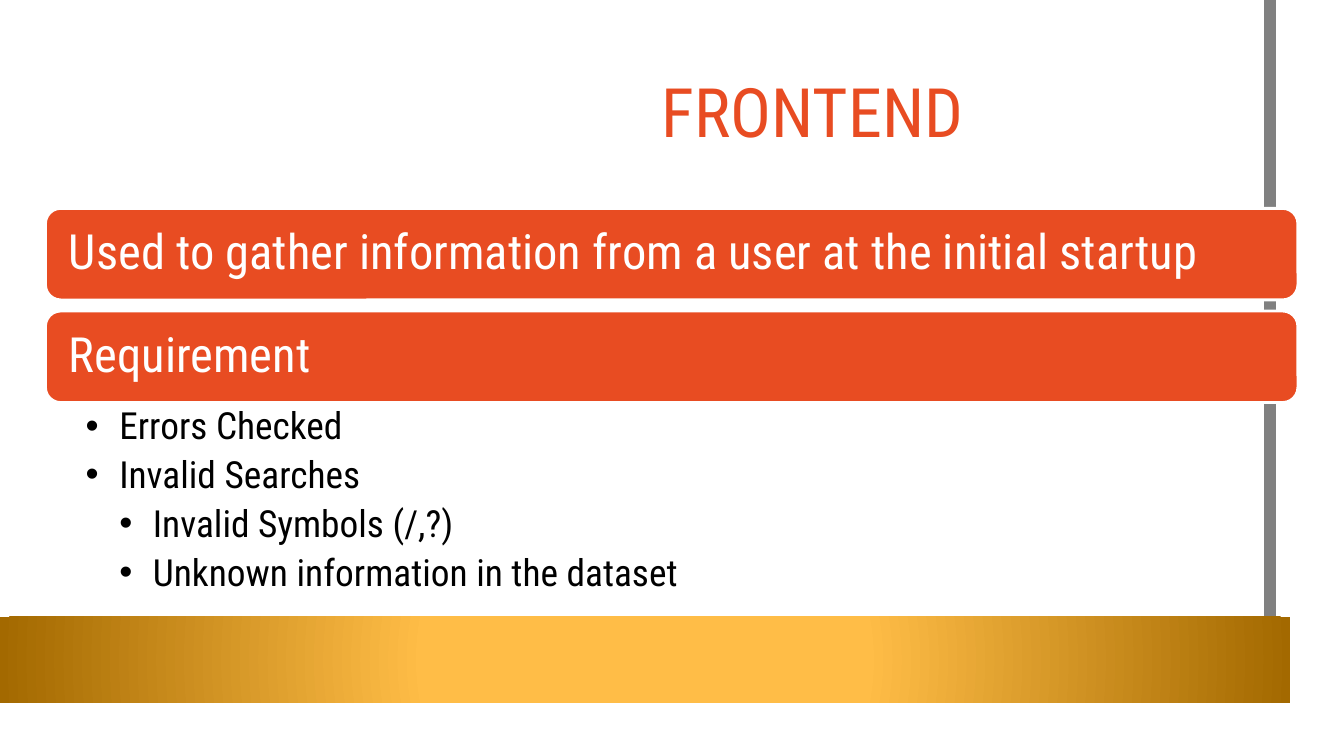
from lxml.etree import SubElement
from pptx import Presentation
from pptx.dml.color import RGBColor
from pptx.enum.shapes import MSO_SHAPE
from pptx.enum.text import MSO_ANCHOR, MSO_AUTO_SIZE, PP_ALIGN
from pptx.oxml import parse_xml
from pptx.oxml.ns import nsdecls, qn
from pptx.util import Cm, Pt

ORANGE = RGBColor(0xE8, 0x4C, 0x22)
WHITE = RGBColor(0xFF, 0xFF, 0xFF)
BLACK = RGBColor(0, 0, 0)
GRAY = RGBColor(0x80, 0x80, 0x80)
GOLD = RGBColor(0xFF, 0xBD, 0x47)
BRONZE = RGBColor(0xA3, 0x69, 0x00)

LEFT, WIDTH = 0.86, 23.67
BAR_TOP, BAR_HEIGHT, BAR_PITCH = 3.94, 1.73, 1.94


def write(p, text, size=20, color=BLACK, font="Roboto Condensed", after=0):
    """Put one formatted run in a paragraph."""
    p.alignment = PP_ALIGN.LEFT
    p.line_spacing = 0.9
    p.space_before, p.space_after = Pt(0), Pt(after)
    r = p.add_run()
    r.text = text
    r.font.size, r.font.name = Pt(size), font
    r.font.color.rgb = color


class Deck:
    def __init__(self, prs):
        self.s = prs.slides.add_slide(prs.slide_layouts[1])

    def frame(self, sp, anchor, insets):
        tf = sp.text_frame
        tf.word_wrap = True
        tf.auto_size = MSO_AUTO_SIZE.NONE
        tf.vertical_anchor = anchor
        (tf.margin_left, tf.margin_top,
         tf.margin_right, tf.margin_bottom) = map(Cm, insets)
        return tf

    def placeholder(self, idx, box, insets):
        """Move a placeholder to its box, in front of the backdrop."""
        sp = self.s.placeholders[idx]
        sp.left, sp.top, sp.width, sp.height = map(Cm, box)
        self.s.shapes._spTree.append(sp._element)
        return self.frame(sp, MSO_ANCHOR.TOP, insets)

    def shape(self, kind, box, fill, line=None):
        sp = self.s.shapes.add_shape(kind, *map(Cm, box))
        sp.shadow.inherit = False
        sp.fill.solid()
        sp.fill.fore_color.rgb = fill
        if line is None:
            sp.line.fill.background()
        else:
            sp.line.color.rgb, sp.line.width = line, Pt(1.5)
        return sp

    def band(self, box):
        """Rectangle that darkens from its centre outwards."""
        sp = self.shape(MSO_SHAPE.RECTANGLE, box, GOLD)
        solid = sp._element.spPr.find(qn("a:solidFill"))
        solid.getparent().replace(solid, parse_xml(
            f'<a:gradFill {nsdecls("a")} rotWithShape="1"><a:gsLst>'
            f'<a:gs pos="34000"><a:srgbClr val="{GOLD}"/></a:gs>'
            f'<a:gs pos="100000"><a:srgbClr val="{BRONZE}"/></a:gs></a:gsLst>'
            '<a:path path="circle"><a:fillToRect l="50000" t="50000" '
            'r="50000" b="50000"/></a:path></a:gradFill>'))

    def edge(self, start, *points):
        """Thick open line with a square corner."""
        fb = self.s.shapes.build_freeform(*start, scale=Cm(1))
        fb.add_line_segments(points, close=False)
        sp = fb.convert_to_shape()
        sp.shadow.inherit = False
        sp.fill.background()
        sp.line.color.rgb, sp.line.width = GRAY, Pt(6.5)
        SubElement(sp.line._get_or_add_ln(), qn("a:miter"), lim="800000")

    def title(self, text, box, indent):
        tf = self.placeholder(0, box, (indent, 0.25, 0.25, 0.25))
        write(tf.paragraphs[0], text, size=36.5, color=ORANGE)

    def bar(self, text, box):
        sp = self.shape(MSO_SHAPE.ROUNDED_RECTANGLE, box, ORANGE, WHITE)
        tf = self.frame(sp, MSO_ANCHOR.MIDDLE, (0.36, 0.28, 0.36, 0.28))
        write(tf.paragraphs[0], text, size=26, color=WHITE)

    def bullets(self, items, box):
        tf = self.placeholder(1, box, (0.76, 0.1, 0.5, 0.1))
        for i, (level, text) in enumerate(items):
            p = tf.add_paragraph() if i else tf.paragraphs[0]
            p.level = level
            write(p, text, after=4.6)
            pPr = p._p.get_or_add_pPr()
            pPr.set("marL", str(Cm(0.635 * level)))
            pPr.set("indent", str(-Cm(0.635)))
            SubElement(pPr, qn("a:buFont"), typeface="Arial")
            SubElement(pPr, qn("a:buChar"), char="•")


def main():
    prs = Presentation()
    prs.slide_width, prs.slide_height = Cm(25.4), Cm(14.29)
    deck = Deck(prs)

    # Backdrop: page, gray edge and gold band
    deck.shape(MSO_SHAPE.RECTANGLE, (0, 0, 24.97, 13.84), WHITE)
    deck.edge((24.43, 0), (24.49, 13.39), (-0.05, 13.36))
    deck.band((0, 11.66, 24.38, 1.63))

    # Title
    deck.title("FRONTEND", (LEFT, 1.24, WIDTH, 1.6), indent=11.65)

    # Statement bars
    bars = ["Used to gather information from a user at the initial startup",
            "Requirement"]
    for i, text in enumerate(bars):
        deck.bar(text, (LEFT, BAR_TOP + i * BAR_PITCH, WIDTH, BAR_HEIGHT))

    # Requirement list
    deck.bullets([(1, "Errors Checked"),
                  (1, "Invalid Searches"),
                  (2, "Invalid Symbols (/,?)"),
                  (2, "Unknown information in the dataset")],
                 (LEFT, 7.6, WIDTH, 3.81))

    prs.save("out.pptx")


if __name__ == "__main__":
    main()
